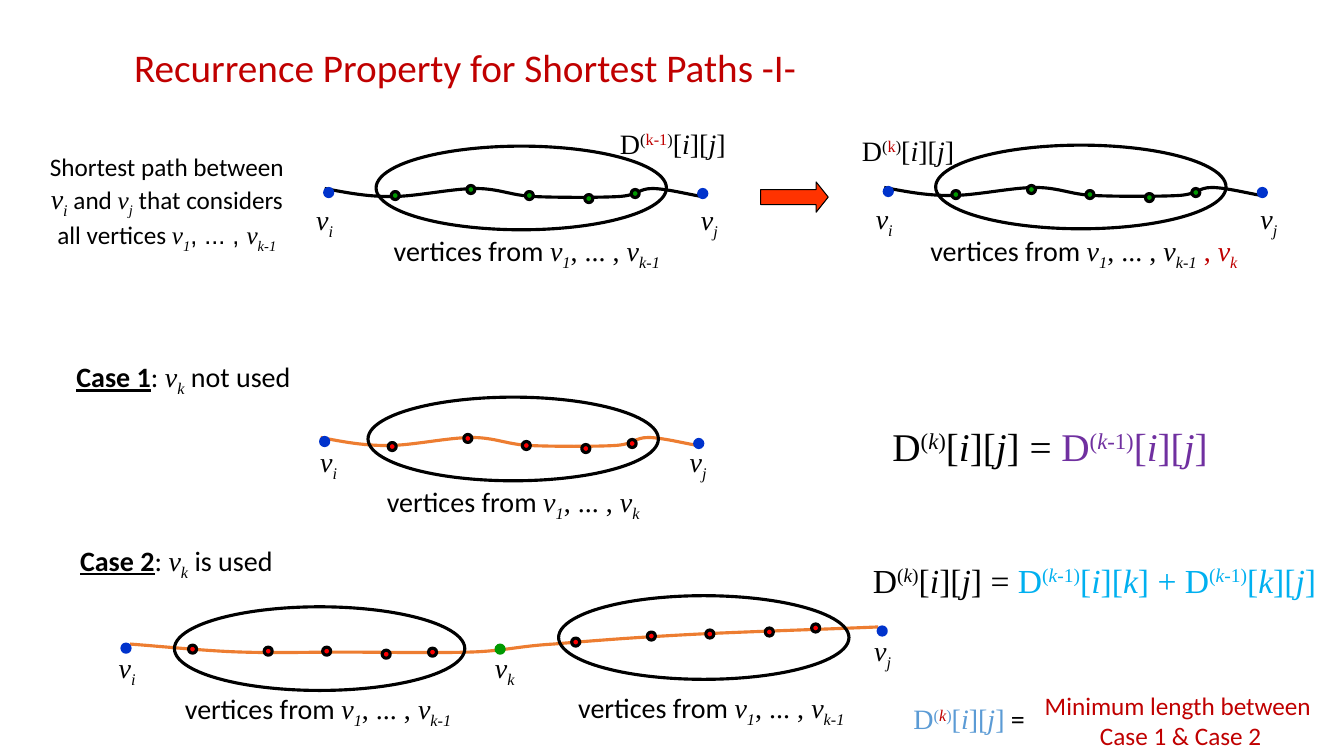
"""Build the slide on the recurrence property for shortest paths."""
from itertools import groupby
from lxml.etree import SubElement
from pptx import Presentation
from pptx.dml.color import RGBColor
from pptx.enum.shapes import MSO_SHAPE
from pptx.enum.text import MSO_ANCHOR, MSO_AUTO_SIZE, PP_ALIGN
from pptx.oxml.ns import qn
from pptx.util import Inches, Pt

THEME = {
    "ink": {"black": "000000", "red": "C00000", "blue": "0033CC",
            "green": "009900", "bead": "FF0000", "path": "ED7D31",
            "arrow": "FF3300", "violet": "7030A0", "cyan": "00B0F0",
            "steel": "5B9BD5"},
    "size": {"head": 28, "rule": 24, "label": 20, "note": 18},
    "line": 2.25,
}
SANS, SERIF = {"name": "Calibri"}, {"name": "Times New Roman"}
KINDS = {
    "sans": SANS,
    "bold": {**SANS, "bold": True, "underline": True},
    "dots": {"name": "Arial"},
    "serif": SERIF,
    "var": {**SERIF, "italic": True},
}


def run(text, kind="sans", ink="black", base=0, size=None):
    return text, kind, ink, base, size


def var(sub, ink="black", size=None):
    return [run("v", "var", ink, 0, size), run(sub, "var", ink, -25, size)]


def span(last, dots="serif", lead="vertices from "):
    return [run(lead), *var("1"), run(", ... , ", dots), *var(last)]


def dist(power, row, col, ink="black"):
    marks = [run(text, kind, tone or ink, 30) for text, kind, tone in power]
    return [run("D", "serif", ink), run("(", "serif", ink, 30), *marks,
            run(")", "serif", ink, 30), run("[", "serif", ink),
            run(row, "var", ink), run("][", "serif", ink),
            run(col, "var", ink), run("]", "serif", ink)]


K = [("k", "var", None)]
PREV = K + [("-1", "serif", None)]
EQUALS = run(" = ", "serif")
LEFT, MID = PP_ALIGN.LEFT, PP_ALIGN.CENTER

WAVE = [(0, 0), (.21, .04), (.41, .08), (.66, .08), (.91, .08), (1.26, 0),
        (1.5, 0), (1.73, 0), (1.85, .07), (2.08, .08), (2.32, .09),
        (2.72, .09), (2.91, .08), (3.11, .07), (3.11, 0), (3.25, 0),
        (3.39, 0), (3.66, .07), (3.75, .08)]
LONG = [(0, 0), (.39, .03), (.77, .07), (1.12, .08), (1.47, .09), (1.73, .08),
        (2.1, .08), (2.47, .08), (3.01, .09), (3.36, .08), (3.71, .07),
        (3.85, .02), (4.2, 0), (4.55, -.03), (4.92, -.06), (5.46, -.09),
        (6, -.12), (6.71, -.14), (7.42, -.17)]
PATHS = [(3.22, 1.87, WAVE, "black"), (3.18, 4.34, WAVE, "path"),
         (8.77, 1.86, WAVE, "black"), (1.29, 6.39, LONG, "path")]

STEPS = [0, .75, 1.33, 1.92, 2.38]
OVALS = [
    (3.73, 1.45, "green", .15, [.45, .39, .45, .48, .43]),
    (3.65, 3.94, "bead", .2, [.45, .37, .44, .47, .42]),
    (5.54, 5.91, "bead", .13, [.42, .36, .34, .32, .28]),
    (1.73, 6.02, "bead", .14, [.38, .4, .4, .43, .41]),
    (9.28, 1.44, "green", .16, [.45, .4, .45, .48, .43]),
]
OVAL, DOT = (2.88, .83), (.08, .08)
ENDS = [(3.22, 1.87, "blue"), (6.93, 1.88, "blue"), (3.18, 4.34, "blue"),
        (6.89, 4.36, "blue"), (1.21, 6.39, "blue"), (8.71, 6.22, "blue"),
        (4.92, 6.4, "green"), (8.77, 1.86, "blue"), (12.48, 1.87, "blue")]
WIDTHS = {"i": .38, "j": .41, "k": .41}
NAMES = [("i", 3.03, 1.98), ("j", 6.83, 1.98), ("i", 3.07, 4.38),
         ("j", 6.72, 4.38), ("i", 1.07, 6.42), ("k", 4.8, 6.42),
         ("j", 8.55, 6.25), ("i", 8.58, 1.97), ("j", 12.38, 1.97)]

LABELS = [
    ((3.78, 2.29, 2.89, .44), "label", [span("k-1")]),
    ((3.72, 4.78, 2.74, .44), "label", [span("k")]),
    ((1.71, 6.83, 2.89, .44), "label", [span("k-1")]),
    ((5.61, 6.82, 2.89, .44), "label", [span("k-1")]),
    ((8.94, 2.29, 3.62, .44), "label",
     [span("k-1") + [run(" ", "serif"), run(", ", "serif", "red")]
      + var("k", "red")], MID, True),
    ((6.05, 1.2, 1.31, .44), "label",
     [dist([("k-1", "serif", "red")], "i", "j")], LEFT),
    ((8.45, 1.27, 1.15, .44), "label",
     [dist([("k", "serif", "red")], "i", "j")], LEFT),
    ((.64, 3.54, 2.36, .44), "label",
     [[run("Case 1", "bold"), run(": "), *var("k"), run(" not used")]]),
    ((.68, 5.36, 2.14, .44), "label",
     [[run("Case 2", "bold"), run(": "), *var("k"), run(" is used")]]),
    ((8.68, 4.14, 3.47, .57), "head",
     [dist(K, "i", "j") + [EQUALS] + dist(PREV, "i", "j", "violet")]),
    ((8.46, 5.5, 4.79, .5), "rule",
     [dist(K, "i", "j") + [EQUALS] + dist(PREV, "i", "k", "cyan")
      + [run(" + ", "serif", "cyan")] + dist(PREV, "k", "j", "cyan")]),
    ((.38, 1.49, 2.55, 1.04), "note",
     [[run("Shortest path between")],
      var("i", size="label") + [run(" and "), *var("j"),
                                run(" that considers")],
      span("k-1", "dots", "all vertices ")], MID, True),
    ((10.17, 6.79, 3.08, .71), "note",
     [[run("Minimum length between ", ink="red")],
      [run("Case 1 & Case 2", ink="red")]], MID, True),
    ((8.96, 6.91, 1.42, .44), "label",
     [dist([("k", "var", "red")], "i", "j", "steel") + [run(" =")]], LEFT),
]
TITLE = "Recurrence Property for Shortest Paths -I-"


def tint(name):
    return RGBColor.from_string(THEME["ink"][name])


def paint(shape, fill, line, width=THEME["line"]):
    shape.shadow.inherit = False
    if fill:
        shape.fill.solid()
        shape.fill.fore_color.rgb = tint(fill)
    else:
        shape.fill.background()
    shape.line.color.rgb = tint(line)
    shape.line.width = Pt(width)


def add(slide, kind, box, fill, line, **more):
    shape = slide.shapes.add_shape(kind, *map(Inches, box))
    paint(shape, fill, line, **more)
    return shape


def write(slide, box, size, lines, align=MID, wrap=False):
    frame = slide.shapes.add_textbox(*map(Inches, box)).text_frame
    frame.word_wrap, frame.vertical_anchor = wrap, MSO_ANCHOR.MIDDLE
    frame.auto_size = MSO_AUTO_SIZE.SHAPE_TO_FIT_TEXT
    for spot, runs in enumerate(lines):
        para = frame.add_paragraph() if spot else frame.paragraphs[0]
        para.alignment = align
        for form, group in groupby(runs, lambda item: item[1:]):
            kind, ink, base, own = form
            part = para.add_run()
            part.text = "".join(item[0] for item in group)
            look = {**KINDS[kind], "size": Pt(THEME["size"][own or size])}
            for key, value in look.items():
                setattr(part.font, key, value)
            part.font.color.rgb = tint(ink)
            if base:
                part._r.get_or_add_rPr().set("baseline", str(base * 1000))
    return frame


def trace(slide, x, y, knots, ink):
    pen = slide.shapes.build_freeform(Inches(x), Inches(y))
    points = [(Inches(x + dx), Inches(y + dy)) for dx, dy in knots[1:]]
    pen.add_line_segments(points, close=False)
    shape = pen.convert_to_shape()
    paint(shape, None, ink)
    route = next(shape._element.iter(qn("a:path")))
    for at, leg in enumerate(route.findall(qn("a:lnTo"))):
        if at % 3 == 0:
            curve = SubElement(route, qn("a:cubicBezTo"))
        curve.append(leg[0])
        route.remove(leg)


def main():
    deck = Presentation()
    deck.slide_width, deck.slide_height = Inches(13.33), Inches(7.5)
    slide = deck.slides.add_slide(deck.slide_layouts[6])
    for path in PATHS:
        trace(slide, *path)
    for x, y, ink, first, drops in OVALS:
        for step, drop in zip(STEPS, drops):
            spot = (x + first + step, y + drop, *DOT)
            add(slide, MSO_SHAPE.OVAL, spot, ink, "black")
        add(slide, MSO_SHAPE.OVAL, (x, y, *OVAL), None, "black")
    for x, y, ink in ENDS:
        add(slide, MSO_SHAPE.OVAL, (x, y, *DOT), ink, ink)
    for sub, x, y in NAMES:
        write(slide, (x, y, WIDTHS[sub], .44), "label", [var(sub)])
    for label in LABELS:
        write(slide, *label)
    arrow = add(slide, MSO_SHAPE.DOWN_ARROW, (7.73, 1.62, .3, .67),
                "arrow", "black", width=.75)
    arrow.rotation = 270
    arrow.adjustments[0], arrow.adjustments[1] = .5, .4
    head = write(slide, (1.31, .25, 10, .83), "head",
                 [[run(TITLE, ink="red")]], LEFT, True)
    head.auto_size = MSO_AUTO_SIZE.NONE
    for side, gap in {"left": .02, "right": .02,
                      "top": .01, "bottom": .01}.items():
        setattr(head, f"margin_{side}", Inches(gap))
    deck.save("out.pptx")


if __name__ == "__main__":
    main()
